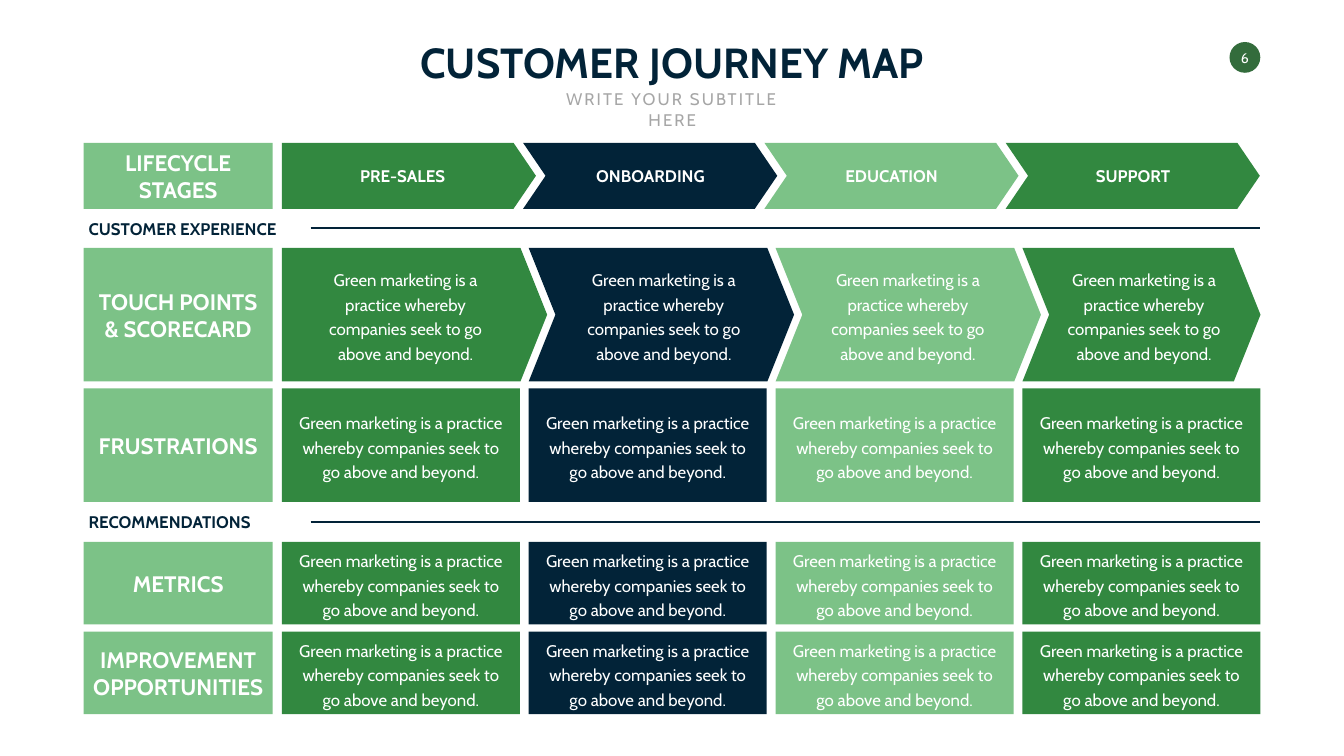
import lxml.etree
import pptx
import pptx.dml.color
import pptx.enum.shapes
import pptx.enum.text
import pptx.oxml.ns
import pptx.util

Pt = pptx.util.Pt
Kind = pptx.enum.shapes.MSO_SHAPE
Align = pptx.enum.text.PP_ALIGN
Anchor = pptx.enum.text.MSO_ANCHOR

COLORS = {"navy": "022338", "green": "328840", "light": "7CC287",
          "badge": "336C3C", "gray": "A6A6A6", "white": "FFFFFF"}
FILLS = ["green", "navy", "light", "green"]
BODY = ("Green marketing is a practice whereby companies seek to go "
        "above and beyond.")

SIDE_X, SIDE_W = 119.5, 270
GRID_X, GRID_W, GRID_STEP = 402.5, 340, 352.6
RIGHT = 1800
STAGE_Y, STAGE_H, STAGE_W, STAGE_STEP = 204, 94.3, 363, 344.6
TOUCH_Y, TOUCH_H = 354.2, 190.8

STAGES = ["PRE-SALES", "ONBOARDING", "EDUCATION", "SUPPORT"]
STAGE_MIDS = [575, 929, 1273.4, 1618.2]
TOUCH_WIDTHS = [379, 379, 379, 340]
TOUCH_TEXTS = [(432, 294.5), (802, 292.3), (1150.6, 292.3), (1504, 260)]
SECTIONS = [("CUSTOMER EXPERIENCE", 326.2), ("RECOMMENDATIONS", 745.7)]
ROWS = [("FRUSTRATIONS", 555, 162),
        ("METRICS", 774, 118),
        ("IMPROVEMENT\nOPPORTUNITIES", 902.2, 118)]


def tint(name):
    return pptx.dml.color.RGBColor.from_string(COLORS[name])


class Board:
    """Holds the font and the slide being drawn."""

    def __init__(self, slide, font="Cabin"):
        self.slide = slide
        self.font = font

    def block(self, kind, x, y, w, h, color, point=None):
        shape = self.slide.shapes.add_shape(kind, Pt(x), Pt(y), Pt(w), Pt(h))
        shape.shadow.inherit = False
        shape.fill.solid()
        shape.fill.fore_color.rgb = tint(color)
        shape.line.fill.background()
        if point:
            shape.adjustments[0] = point

    def text(self, words, x, y, w, h, size=24, color="white", bold=False,
             align=Align.CENTER, anchor=Anchor.MIDDLE, wrap=False,
             lead=None, track=None, inset=None):
        """Lead is the line pitch and track the letter gap, in points."""
        box = self.slide.shapes.add_textbox(Pt(x), Pt(y), Pt(w), Pt(h))
        frame = box.text_frame
        frame.text = words
        frame.word_wrap = wrap
        frame.auto_size = pptx.enum.text.MSO_AUTO_SIZE.SHAPE_TO_FIT_TEXT
        frame.vertical_anchor = anchor
        if inset is not None:
            frame.margin_left = frame.margin_right = Pt(inset)
            frame.margin_top = frame.margin_bottom = Pt(inset)
        for para in frame.paragraphs:
            para.alignment = align
            if lead:
                para.line_spacing = Pt(lead)
            for run in para.runs:
                run.font.name = self.font
                run.font.size = Pt(size)
                run.font.bold = bold
                run.font.color.rgb = tint(color)
                if track:
                    run._r.get_or_add_rPr().set("spc", str(track * 100))

    def body(self, x, mid, w, h):
        self.text(BODY, x, mid - h / 2, w, h, wrap=True, lead=35)

    def side(self, words, y, h):
        """Draws the row heading at the left of the grid."""
        self.block(Kind.RECTANGLE, SIDE_X, y, SIDE_W, h, "light")
        tall = 85 if "\n" in words else 46
        self.text(words, SIDE_X, y + (h - tall) / 2, SIDE_W, tall,
                  size=32, bold=True)

    def rule(self, x, y, end):
        line = self.slide.shapes.add_connector(
            pptx.enum.shapes.MSO_CONNECTOR.STRAIGHT,
            Pt(x), Pt(y), Pt(end), Pt(y))
        line.line.color.rgb = tint("navy")
        line.line.width = Pt(3)
        lxml.etree.SubElement(line._element.spPr,
                              pptx.oxml.ns.qn("a:effectLst"))


def main():
    deck = pptx.Presentation()
    deck.slide_width, deck.slide_height = Pt(1919.52), Pt(1080)
    board = Board(deck.slides.add_slide(deck.slide_layouts[6]))

    board.block(Kind.OVAL, 1756, 60, 44, 44, "badge")
    board.text("6", 1763.3, 69.8, 29.5, 24.5, size=20, inset=0)
    board.text("CUSTOMER JOURNEY MAP", 560, 48, 800, 80, size=60,
               color="navy", bold=True, anchor=Anchor.TOP)
    board.text("WRITE YOUR SUBTITLE HERE", 764.6, 123.8, 391, 36,
               color="gray", anchor=Anchor.TOP, wrap=True, track=3)

    board.side("LIFECYCLE\nSTAGES", STAGE_Y, STAGE_H)
    for i, (name, mid) in enumerate(zip(STAGES, STAGE_MIDS)):
        kind = Kind.CHEVRON if i else Kind.PENTAGON
        board.block(kind, GRID_X + i * STAGE_STEP, STAGE_Y,
                    STAGE_W, STAGE_H, FILLS[i], 0.34)
        board.text(name, mid - 90, STAGE_Y + STAGE_H / 2 - 18, 180, 36,
                   bold=True)

    for name, y in SECTIONS:
        board.text(name, SIDE_X, y - 18, 299, 36, color="navy", bold=True,
                   align=Align.LEFT)
        board.rule(443.5, y, RIGHT)

    board.side("TOUCH POINTS\n& SCORECARD", TOUCH_Y, TOUCH_H)
    for i, (left, width) in enumerate(TOUCH_TEXTS):
        kind = Kind.CHEVRON if i else Kind.PENTAGON
        board.block(kind, GRID_X + i * GRID_STEP, TOUCH_Y,
                    TOUCH_WIDTHS[i], TOUCH_H, FILLS[i], 0.2)
        board.body(left, TOUCH_Y + TOUCH_H / 2, width, 144.7)

    for name, y, h in ROWS:
        board.side(name, y, h)
        for i, color in enumerate(FILLS):
            x = GRID_X + i * GRID_STEP
            board.block(Kind.RECTANGLE, x, y, GRID_W, h, color)
            board.body(x + 10.8, y + h / 2, GRID_W - 21.6, 109.4)

    deck.save("out.pptx")


if __name__ == "__main__":
    main()
